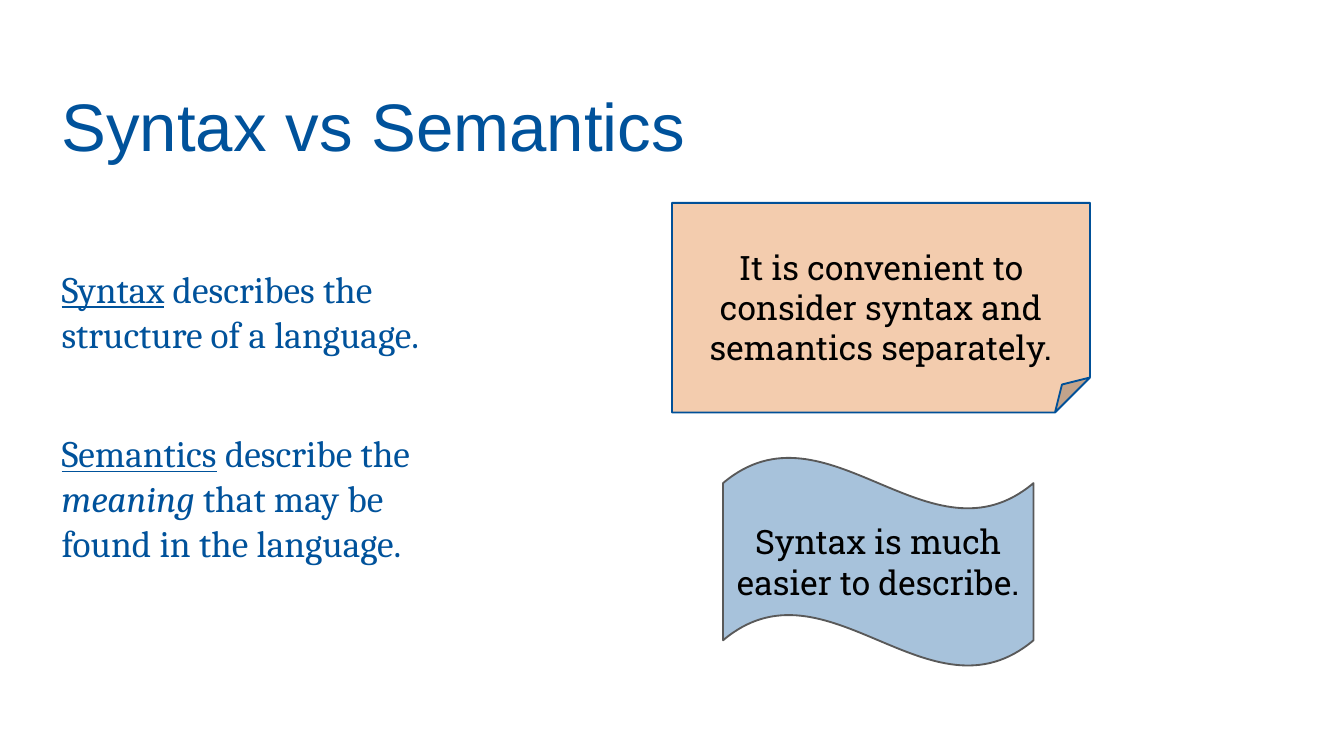
from pptx import Presentation
from pptx.dml.color import RGBColor
from pptx.enum.shapes import MSO_SHAPE as Shape
from pptx.enum.text import MSO_ANCHOR as Anchor, PP_ALIGN as Align
from pptx.util import Inches, Pt

WIDTH = 10
HEIGHT = WIDTH * 9 / 16
MARGIN = 0.36
BLUE, BLACK = "00529B", "000000"

TITLE = "Syntax vs Semantics"
# Each definition is a list of (text, style) runs.
DEFINITIONS = [
    [("Syntax", "underline"), (" describes the structure of a language.", None)],
    [("Semantics", "underline"), (" describe the ", None),
     ("meaning", "italic"), (" that may be found in the language.", None)],
]
# Shape, text, left, top, width, fill, line, insets (left, top, right, bottom)
NOTES = [
    (Shape.FOLDED_CORNER, "It is convenient to consider syntax and semantics separately.",
     5, 1.51, 3.11, "F3CCAE", "005098", (0.1, 0.25, 0.1, 0)),
    (Shape.WAVE, "Syntax is much easier to describe.",
     5.38, 3.4, 2.31, "A7C2DB", "595959", (0, 0, 0, 0)),
]
NOTE_HEIGHT = 1.56


def color(value):
    return RGBColor.from_string(value)


def set_frame(box, anchor, insets):
    frame = box.text_frame
    frame.word_wrap = True
    frame.vertical_anchor = anchor
    (frame.margin_left, frame.margin_top,
     frame.margin_right, frame.margin_bottom) = map(Inches, insets)
    return frame


def add_run(para, text, font, size, ink, style=None):
    span = para.add_run()
    span.text = text
    span.font.name = font
    span.font.size = Pt(size)
    span.font.color.rgb = color(ink)
    if style:
        setattr(span.font, style, True)


def add_text_box(page, left, top, width, height, anchor, insets):
    box = page.shapes.add_textbox(*map(Inches, (left, top, width, height)))
    return set_frame(box, anchor, insets)


def add_note(page, kind, text, left, top, width, fill, line, insets):
    note = page.shapes.add_shape(kind, *map(Inches, (left, top, width, NOTE_HEIGHT)))
    note.shadow.inherit = False
    note.fill.solid()
    note.fill.fore_color.rgb = color(fill)
    note.line.color.rgb = color(line)
    note.line.width = Pt(1)
    para = set_frame(note, Anchor.MIDDLE, insets).paragraphs[0]
    para.alignment = Align.CENTER
    add_run(para, text, "Roboto Slab", 18, BLACK)


def main():
    deck = Presentation()
    deck.slide_width, deck.slide_height = Inches(WIDTH), Inches(HEIGHT)
    page = deck.slides.add_slide(deck.slide_layouts[6])

    title = add_text_box(page, MARGIN, 0.57, 9.07, 0.92,
                         Anchor.MIDDLE, (0.1, 0.05, 0.1, 0.25))
    add_run(title.paragraphs[0], TITLE, "Arial", 36, BLUE)

    body = add_text_box(page, MARGIN, 1.49, 3.27, 3.86,
                        Anchor.TOP, (0.1, 0.49, 0.1, 0.05))
    for index, runs in enumerate(DEFINITIONS):
        para = body.add_paragraph() if index else body.paragraphs[0]
        para.space_before = Pt(40 if index else 0)
        for text, style in runs:
            add_run(para, text, "Cambria", 20, BLUE, style)

    for note in NOTES:
        add_note(page, *note)

    deck.save("out.pptx")


if __name__ == "__main__":
    main()
